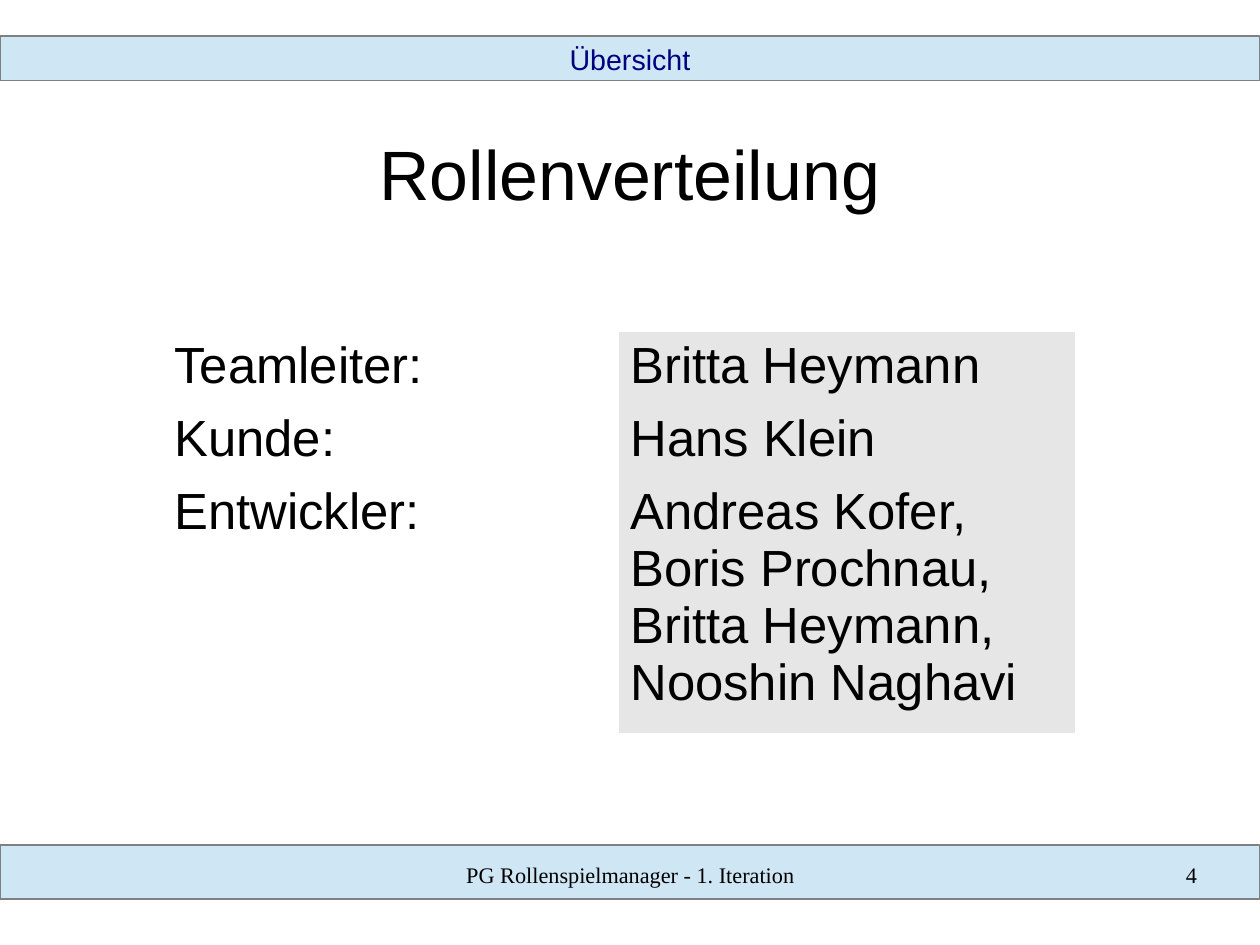
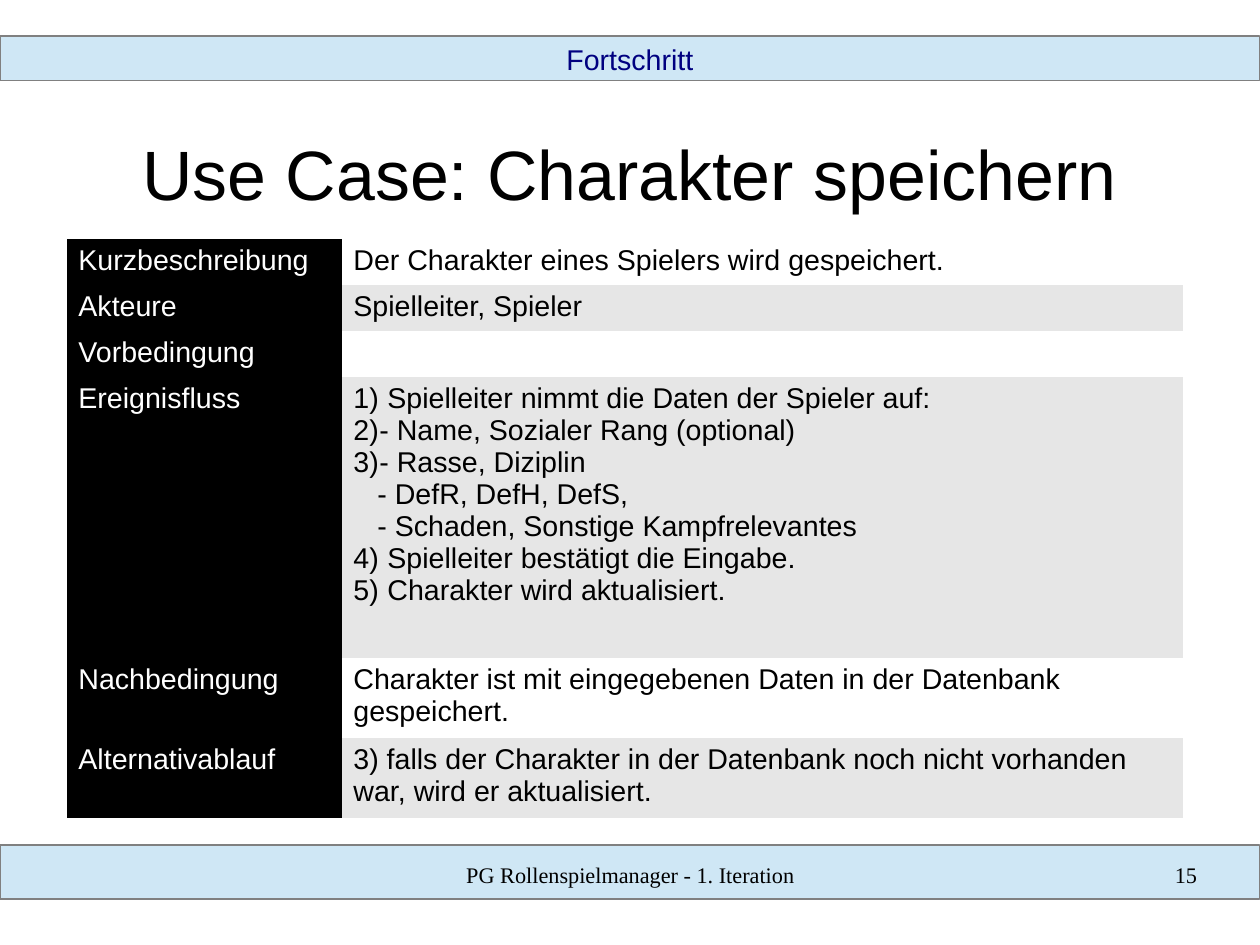
from dataclasses import dataclass
from typing import Optional

from lxml import etree
from pptx import Presentation
from pptx import util as u
from pptx.dml.color import RGBColor
from pptx.enum import shapes, text
from pptx.oxml import ns

PX = 8000
PAGE_WIDTH, PAGE_HEIGHT = 1260, 945
NO_TABLE_STYLE = "{2D5ABB26-0587-4C30-8999-92F81FD0307C}"


@dataclass(frozen=True)
class Theme:
    sans: str = "Arial"
    serif: str = "Times New Roman"
    black: str = "000000"
    white: str = "FFFFFF"
    navy: str = "000080"
    band: str = "CFE7F5"
    band_line: str = "808080"
    grey: str = "E6E6E6"
    title_size: int = 44
    roles_size: int = 32
    text_size: int = 18
    footer_size: int = 14


@dataclass(frozen=True)
class Line:
    words: str
    indent: int = 0
    number: Optional[int] = None


THEME = Theme()
FOOTER = "PG Rollenspielmanager - 1. Iteration"

ROLES = [
    ("Teamleiter:", ["Britta Heymann"]),
    ("Kunde:", ["Hans Klein"]),
    ("Entwickler:", ["Andreas Kofer,", "Boris Prochnau,",
                     "Britta Heymann, Nooshin Naghavi"]),
]

USE_CASE = [
    ("Kurzbeschreibung", ["Der Charakter eines Spielers wird gespeichert."]),
    ("Akteure", ["Spielleiter, Spieler"]),
    ("Vorbedingung", []),
    ("Ereignisfluss", [
        Line("Spielleiter nimmt die Daten der Spieler auf:", 34, 1),
        Line("- Name, Sozialer Rang (optional)", 26, 2),
        Line("- Rasse, Diziplin", 26, 3),
        Line("- DefR, DefH, DefS,", 24),
        Line("- Schaden, Sonstige Kampfrelevantes", 24),
        Line("Spielleiter bestätigt die Eingabe.", 34, 4),
        Line("Charakter wird aktualisiert.", 34, 5),
    ]),
    ("Nachbedingung",
     ["Charakter ist mit eingegebenen Daten in der Datenbank gespeichert."]),
    ("Alternativablauf",
     ["3) falls der Charakter in der Datenbank noch nicht vorhanden war, "
      "wird er aktualisiert."]),
]


def px(*lengths):
    return [u.Emu(length * PX) for length in lengths]


def color(value):
    return RGBColor.from_string(value)


def set_font(para, size, ink, face=THEME.sans):
    para.font.name = face
    para.font.size = u.Pt(size)
    para.font.color.rgb = color(ink)


def set_insets(frame, side, top):
    frame.margin_left = frame.margin_right = u.Inches(side)
    frame.margin_top = frame.margin_bottom = u.Inches(top)


def set_indent(para, line):
    properties = para._p.get_or_add_pPr()
    properties.set("marL", str(line.indent * PX))
    properties.set("indent", str(-line.indent * PX if line.number else 0))
    if line.number:
        etree.SubElement(properties, ns.qn("a:buAutoNum"),
                         type="arabicParenR", startAt=str(line.number))


def fill_cell(cell, lines, size, ink, fill):
    cell.fill.solid()
    cell.fill.fore_color.rgb = color(fill)
    set_insets(cell, 0.1, 0.05)
    frame = cell.text_frame
    for index, line in enumerate(lines):
        if isinstance(line, str):
            line = Line(line)
        para = frame.add_paragraph() if index else frame.paragraphs[0]
        para.text = line.words
        set_indent(para, line)
        set_font(para, size, ink)


def add_table(page, left, top, widths, heights, entries, size, label_style, fills):
    label_ink, label_fill = label_style
    table = page.shapes.add_table(
        len(entries), len(widths),
        *px(left, top, sum(widths), sum(heights))).table
    table.first_row = table.horz_banding = False
    table._tbl.tblPr.find(ns.qn("a:tableStyleId")).text = NO_TABLE_STYLE
    for column, width in zip(table.columns, px(*widths)):
        column.width = width
    for row, height in zip(table.rows, px(*heights)):
        row.height = height
    for index, (label, lines) in enumerate(entries):
        fill_cell(table.cell(index, 0), [label], size, label_ink, label_fill)
        fill_cell(table.cell(index, 1), lines, size, THEME.black,
                  fills[index % len(fills)])


def add_text(page, bounds, words, align, size, ink, face=THEME.sans, insets=(0, 0)):
    box = page.shapes.add_textbox(*px(*bounds))
    frame = box.text_frame
    frame.word_wrap = True
    set_insets(frame, *insets)
    para = frame.paragraphs[0]
    para.text = words
    para.alignment = align
    set_font(para, size, ink, face)


def move_bands_to_layout(page):
    tree = page.slide_layout.shapes._spTree
    for position, (top, height) in enumerate([(845, 54), (36, 45)], start=2):
        band = page.shapes.add_shape(shapes.MSO_SHAPE.RECTANGLE,
                                     *px(0, top, PAGE_WIDTH, height))
        band.shadow.inherit = False
        band.fill.solid()
        band.fill.fore_color.rgb = color(THEME.band)
        band.line.color.rgb = color(THEME.band_line)
        band.line.width = 0
        tree.insert(position, band._element)


def add_page(deck, section, title, number):
    page = deck.slides.add_slide(deck.slide_layouts[5])
    heading = page.shapes.title
    heading.left, heading.top, heading.width, heading.height = px(63, 94, 1134, 158)
    frame = heading.text_frame
    frame.vertical_anchor = text.MSO_ANCHOR.MIDDLE
    set_insets(frame, 0, 0)
    para = frame.paragraphs[0]
    para.text = title
    para.alignment = text.PP_ALIGN.CENTER
    set_font(para, THEME.title_size, THEME.black)
    add_text(page, (0, 36, PAGE_WIDTH, 44), section, text.PP_ALIGN.CENTER,
             THEME.text_size, THEME.navy, insets=(0.1, 0.05))
    for bounds, words, align in [
        ((431, 861, 399, 65), FOOTER, text.PP_ALIGN.CENTER),
        ((903, 861, 294, 65), str(number), text.PP_ALIGN.RIGHT),
    ]:
        add_text(page, bounds, words, align, THEME.footer_size,
                 THEME.black, THEME.serif)
    return page


def main():
    deck = Presentation()
    deck.slide_width, deck.slide_height = px(PAGE_WIDTH, PAGE_HEIGHT)

    roles = add_page(deck, "Übersicht", "Rollenverteilung", 4)
    move_bands_to_layout(roles)
    add_table(roles, 163, 332, [456, 456], [73, 73, 255], ROLES,
              THEME.roles_size, (THEME.black, THEME.white), [THEME.grey])

    use_case = add_page(deck, "Fortschritt", "Use Case: Charakter speichern", 15)
    add_table(use_case, 67, 239, [275, 841], [46, 45, 46, 281, 80, 80], USE_CASE,
              THEME.text_size, (THEME.white, THEME.black),
              [THEME.white, THEME.grey])

    deck.save("out.pptx")


if __name__ == "__main__":
    main()
